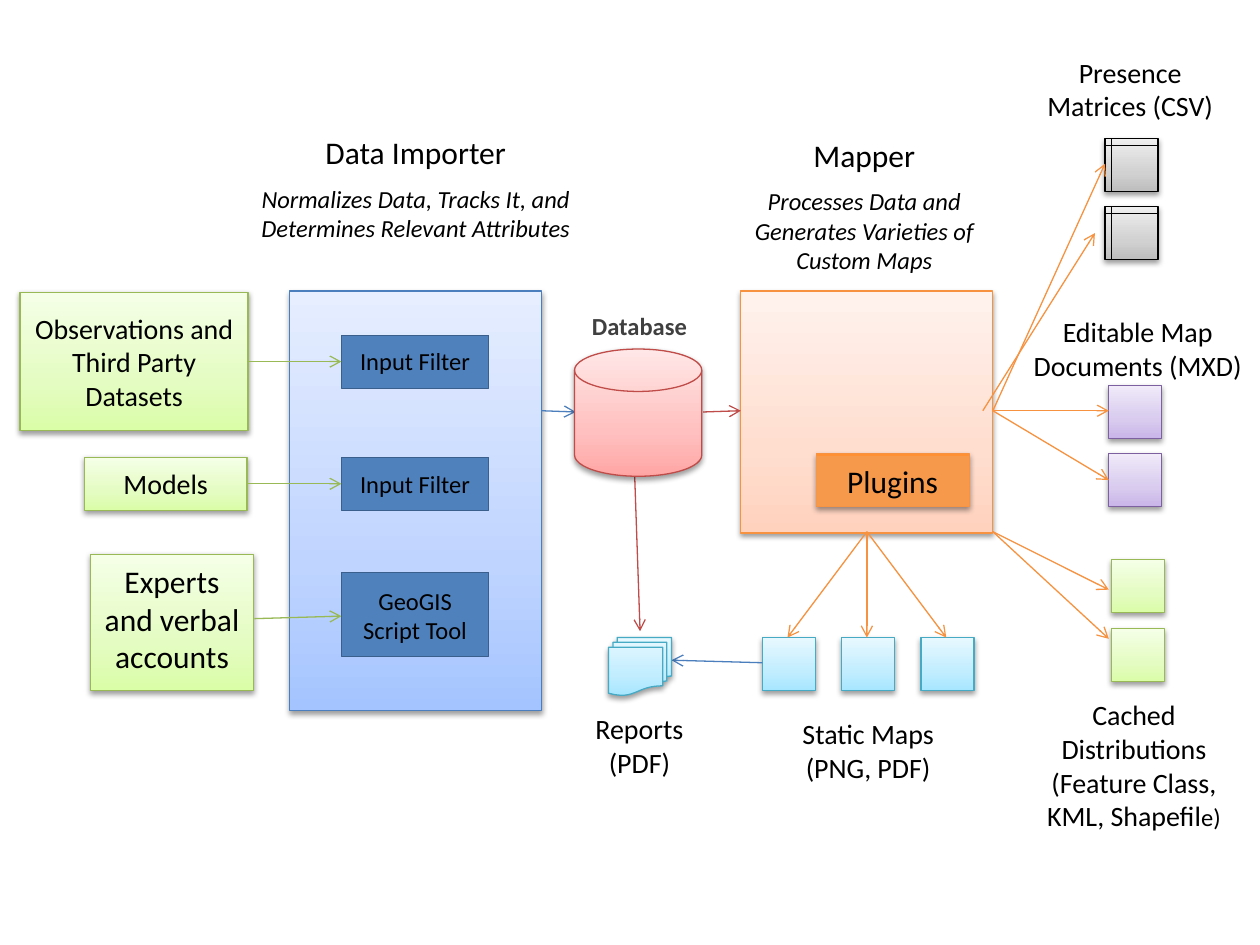
"""Build the data flow slide: sources, importer, database, mapper and outputs."""
import copy

import pptx
import pptx.dml.color
import pptx.enum.shapes
import pptx.enum.text
import pptx.oxml
import pptx.oxml.ns
import pptx.util

Inches, Pt = pptx.util.Inches, pptx.util.Pt
RGBColor = pptx.dml.color.RGBColor
KIND = pptx.enum.shapes.MSO_SHAPE
FONT = "Calibri"
BLACK = RGBColor(0, 0, 0)
CHARCOAL = RGBColor(0x40, 0x40, 0x40)
BLUE = RGBColor(0x4B, 0x7E, 0xBC)
ORANGE = RGBColor(0xF6, 0x92, 0x40)
PURPLE = RGBColor(0x7D, 0x60, 0xA0)
TEAL = RGBColor(0x46, 0xAA, 0xC5)
GREEN = RGBColor(0x98, 0xB9, 0x55)
RED = RGBColor(0xBF, 0x4C, 0x48)
FILTER_FILL = RGBColor(0x4F, 0x81, 0xBD)
FILTER_LINE = RGBColor(0x3A, 0x5F, 0x8C)
PLUGIN_FILL = RGBColor(0xF7, 0x99, 0x4B)


def shades(*codes):
    return [RGBColor.from_string(code) for code in codes]


BLUES = (BLUE, shades("A4C4FF", "BFD4FF", "E6EEFF"), 35)
ORANGES = (ORANGE, shades("FFD2BD", "FFDED0", "FFF2ED"), 35)
PURPLES = (PURPLE, shades("C9B5E8", "D8CBEE", "F0EAF9"), 35)
TEALS = (TEAL, shades("A7E6FF", "C1EDFF", "E7F8FF"), 35)
GREENS = (GREEN, shades("DAFDA7", "E4FCC2", "F5FFE7"), 35)
REDS = (RED, shades("FFA6A5", "FFC0BF", "FFE7E7"), 35)
GREYS = (BLACK, shades("BDBDBD", "D1D1D1", "EEEEEE"), 35)
DEEP_ORANGES = (ORANGE, shades("CC6E20", "FF9034", "FF9136"), 80)

TILE = 0.42
STATIC_LEFT, STATIC_STEP = 6.05, 0.63
FILTER_LEFT, FILTER_WIDTH = 2.71, 1.17

PANELS = [((2.3, 2.31, 2, 3.33), BLUES), ((5.88, 2.31, 2, 1.92), ORANGES)]
SOURCES = [
    ((0.16, 2.32, 1.81, 1.1), 2.42, "Observations and Third Party Datasets", 16),
    ((0.67, 3.63, 1.29, 0.42), 3.65, "Models", 16),
    ((0.72, 4.4, 1.29, 1.08), 4.41, "Experts and verbal accounts", 18),
]
FILTERS = [
    (2.66, 0.42, 0.04, "Input Filter"),
    (3.63, 0.42, 0.04, "Input Filter"),
    (4.54, 0.67, 0.06, "GeoGIS Script Tool"),
]
TILES = [
    (KIND.FLOWCHART_INTERNAL_STORAGE, 8.77, (1.1, 1.64), GREYS),
    (KIND.RECTANGLE, 8.8, (3.06, 3.6), PURPLES),
    (KIND.FLOWCHART_PROCESS, 8.82, (4.44, 4.99), GREENS),
]
MAPPER_SIDE, MAPPER_CORNER, MAPPER_BASE = (7.88, 3.26), (7.88, 4.22), (6.88, 4.22)
ARROWS = [
    (GREEN, (1.96, 2.87), (2.71, 2.87)),
    (GREEN, (1.97, 3.84), (2.71, 3.84)),
    (GREEN, (2.02, 4.91), (2.71, 4.89)),
    (BLUE, (4.3, 3.26), (4.57, 3.27)),
    (RED, (5.58, 3.27), (5.88, 3.26)),
    (RED, (5.03, 3.57), (5.08, 5.01)),
    (BLUE, (6.05, 5.26), (5.33, 5.24)),
    (ORANGE, (7.8, 3.26), (8.69, 1.85)),
]
ARROWS += [(ORANGE, MAPPER_SIDE, end) for end in ((8.77, 1.3), (8.8, 3.26), (8.8, 3.81))]
ARROWS += [(ORANGE, MAPPER_CORNER, end) for end in ((8.8, 4.68), (8.8, 5.07))]
ARROWS += [(ORANGE, MAPPER_BASE, (6.25 + i * STATIC_STEP, 5.06)) for i in range(3)]

LABELS = [
    ((1.9, 1.01, 2.8, 0.4), [("Data Importer", 18)], {}),
    ((1.9, 1.41, 2.8, 1.04),
     [("Normalizes Data, Tracks It, and Determines Relevant Attributes", 14)], {"italic": True}),
    ((5.86, 1.03, 2, 0.4), [("Mapper", 18)], {}),
    ((5.86, 1.43, 2, 0.81),
     [("Processes Data and Generates Varieties of Custom Maps", 14)], {"italic": True}),
    ((4.57, 2.42, 1.01, 0.34), [("Database", 14)], {"bold": True, "color": CHARCOAL}),
    ((4.57, 5.6, 1.01, 0.64), [("Reports (PDF)", 16)], {}),
    ((6.05, 5.64, 1.68, 0.64), [("Static Maps", 16), None, ("(PNG, PDF)", 16)], {}),
    ((8.18, 0.39, 1.58, 0.64), [("Presence Matrices (CSV)", 16)], {}),
    ((8, 2.45, 2.06, 0.64), [("Editable Map Documents (MXD)", 16)], {}),
    ((8.18, 5.49, 1.64, 1.18),
     [("Cached Distributions (Feature Class, KML, Shapefil", 16), ("e)", 14)], {}),
]

deck = pptx.Presentation()
deck.slide_width, deck.slide_height = Inches(10), Inches(7.5)
page = deck.slides.add_slide(deck.slide_layouts[6])


def add_plain(kind, area, line_color, line_width):
    shape = page.shapes.add_shape(kind, *map(Inches, area))
    shape.shadow.inherit = False
    shape.line.color.rgb = line_color
    shape.line.width = Pt(line_width)
    return shape


def add_shaded(kind, area, palette):
    line_color, colors, middle = palette
    shape = add_plain(kind, area, line_color, 0.75)
    shape.fill.gradient()
    shape.fill.gradient_angle = 90
    stop_list = shape.element.spPr.find(".//" + pptx.oxml.ns.qn("a:gsLst"))
    stop_list.insert(1, copy.deepcopy(stop_list[0]))
    for stop, color, position in zip(shape.fill.gradient_stops, colors, (0, middle / 100, 1)):
        stop.color.rgb = color
        stop.position = position
    effects = shape.element.spPr.find(pptx.oxml.ns.qn("a:effectLst"))
    effects.append(pptx.oxml.parse_xml(
        f'<a:outerShdw {pptx.oxml.ns.nsdecls("a")} blurRad="40000" dist="20000" dir="5400000" '
        'rotWithShape="0"><a:srgbClr val="000000"><a:alpha val="38000"/></a:srgbClr>'
        '</a:outerShdw>'))


def add_label(area, spans, bold=False, italic=False, color=BLACK):
    box = page.shapes.add_textbox(*map(Inches, area))
    box.text_frame.word_wrap = True
    box.text_frame.auto_size = pptx.enum.text.MSO_AUTO_SIZE.SHAPE_TO_FIT_TEXT
    para = box.text_frame.paragraphs[0]
    para.alignment = pptx.enum.text.PP_ALIGN.CENTER
    for item in spans:
        if item is None:
            para.add_line_break()
            continue
        span = para.add_run()
        span.text, size = item
        span.font.name, span.font.size = FONT, Pt(size)
        span.font.bold, span.font.italic = bold, italic
        span.font.color.rgb = color
    return box


def add_arrow(color, start, end):
    arrow = page.shapes.add_connector(
        pptx.enum.shapes.MSO_CONNECTOR.STRAIGHT, *map(Inches, start + end))
    arrow.line.color.rgb = color
    arrow.line.width = Pt(0.75)
    namespace = pptx.oxml.ns.nsdecls("a")
    arrow.line._get_or_add_ln().append(
        pptx.oxml.parse_xml(f'<a:tailEnd {namespace} type="arrow"/>'))
    arrow.element.spPr.append(pptx.oxml.parse_xml(f"<a:effectLst {namespace}/>"))


for area, palette in PANELS:
    add_shaded(KIND.RECTANGLE, area, palette)
for area, text_top, text, size in SOURCES:
    add_shaded(KIND.RECTANGLE, area, GREENS)
    left, top, width, height = area
    add_label((left, text_top, width, height), [(text, size)])
for top, height, offset, text in FILTERS:
    block = add_plain(KIND.RECTANGLE, (FILTER_LEFT, top, FILTER_WIDTH, height), FILTER_LINE, 0.5)
    block.fill.solid()
    block.fill.fore_color.rgb = FILTER_FILL
    add_label((FILTER_LEFT, top + offset, FILTER_WIDTH, height - offset), [(text, 14)])
for kind, left, tops, palette in TILES:
    for top in tops:
        add_shaded(kind, (left, top, TILE, TILE), palette)
for i in range(3):
    add_shaded(KIND.RECTANGLE, (STATIC_LEFT + i * STATIC_STEP, 5.06, TILE, TILE), TEALS)
for arrow_parts in ARROWS:
    add_arrow(*arrow_parts)
add_shaded(KIND.FLOWCHART_MAGNETIC_DISK, (4.56, 2.77, 1.01, 1.01), REDS)
add_shaded(KIND.FLOWCHART_MULTIDOCUMENT, (4.83, 5.06, 0.5, 0.46), TEALS)
add_shaded(KIND.RECTANGLE, (6.48, 3.6, 1.21, TILE), DEEP_ORANGES)
plugins = add_label((6.48, 3.62, 1.21, 0.4), [("Plugins", 18)])
plugins.fill.solid()
plugins.fill.fore_color.rgb = PLUGIN_FILL
for area, spans, style in LABELS:
    add_label(area, spans, **style)

deck.save("out.pptx")
